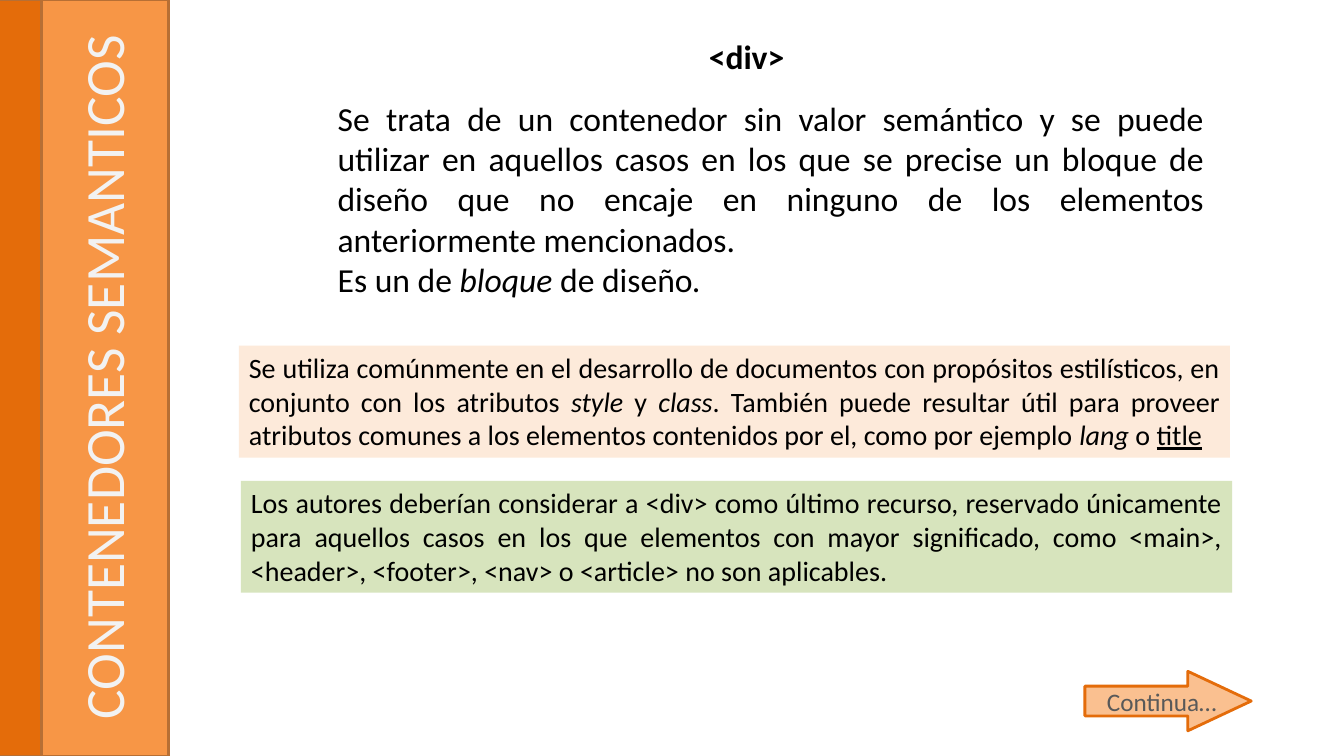
from pptx import Presentation
from pptx import util as u
from pptx.dml.color import RGBColor
from pptx.enum import shapes, text

DARK_ORANGE = RGBColor(0xE4, 0x6C, 0x0A)
ORANGE = RGBColor(0xF7, 0x96, 0x46)
BROWN = RGBColor(0xB7, 0x6F, 0x34)
PEACH = RGBColor(0xFA, 0xC0, 0x90)
CREAM = RGBColor(0xFD, 0xEA, 0xDA)
GREEN = RGBColor(0xD7, 0xE4, 0xBD)
OFF_WHITE = RGBColor(0xF2, 0xF2, 0xF2)
GREY = RGBColor(0x59, 0x59, 0x59)
BLACK = RGBColor(0, 0, 0)
ALIGN = text.PP_ALIGN
ANCHOR = text.MSO_ANCHOR

WIDTH, HEIGHT = 13.33, 7.5
BAR_WIDTH = 1.26
NOTE_WIDTH, NOTE_HEIGHT = 9.83, 1.11

presentation = Presentation()
presentation.slide_width = u.Inches(WIDTH)
presentation.slide_height = u.Inches(HEIGHT)
slide = presentation.slides.add_slide(presentation.slide_layouts[5])


def add_block(kind, left, top, width, height, fill, line=None):
    """Add a filled preset shape; without a line colour it has no outline."""
    shape = slide.shapes.add_shape(kind, *map(u.Inches, (left, top, width, height)))
    shape.shadow.inherit = False
    shape.fill.solid()
    shape.fill.fore_color.rgb = fill
    if line is None:
        shape.line.fill.background()
    else:
        shape.line.color.rgb = line
        shape.line.width = u.Pt(2)
    return shape


def write(shape, *paragraphs, size=24, color=BLACK, align=ALIGN.JUSTIFY,
          bold=False, anchor=ANCHOR.TOP, spacing=None):
    """Fill a shape with paragraphs; in each, *x* is italic and _x_ underlined."""
    frame = shape.text_frame
    frame.word_wrap = True
    frame.auto_size = text.MSO_AUTO_SIZE.NONE
    frame.vertical_anchor = anchor
    for index, content in enumerate(paragraphs):
        paragraph = frame.add_paragraph() if index else frame.paragraphs[0]
        paragraph.alignment = align
        if spacing:
            paragraph.line_spacing = u.Pt(spacing)
        for position, part in enumerate(content.replace("_", "*_").split("*")):
            if not part:
                continue
            run = paragraph.add_run()
            run.text = part.strip("_")
            run.font.name = "Calibri"
            run.font.size = u.Pt(size)
            run.font.color.rgb = color
            run.font.bold = bold
            run.font.underline = part.startswith("_")
            run.font.italic = position % 2 == 1 and not run.font.underline


for left, fill in ((-0.03, DARK_ORANGE), (0.41, ORANGE)):
    add_block(shapes.MSO_SHAPE.RECTANGLE, left, 0, BAR_WIDTH, HEIGHT, fill, BROWN)

title = slide.shapes.title
title.left, title.top = u.Inches(-2.74), u.Inches(3.12)
title.width, title.height = u.Inches(HEIGHT), u.Inches(1.25)
title.rotation = 270
write(title, "CONTENEDORES SEMANTICOS", size=39.6, color=OFF_WHITE,
      align=ALIGN.CENTER, anchor=ANCHOR.MIDDLE)
slide.shapes.element.append(title.element)  # bring in front of the bars

arrow = add_block(shapes.MSO_SHAPE.RIGHT_ARROW, 10.76, 6.66, 1.65, 0.59, PEACH, DARK_ORANGE)
arrow.adjustments[1] = 1.065

text_boxes = (
    ((10.88, 6.76, 1.42, 0.4), ["Continua…"],
     dict(size=18, color=GREY, align=ALIGN.LEFT)),
    ((2.6, 0.31, 9.61, 0.5), ["<div>"], dict(bold=True, align=ALIGN.CENTER)),
    ((3.25, 0.92, 8.79, 2.12),
     ["Se trata de un contenedor sin valor semántico y se puede utilizar en aquellos "
      "casos en los que se precise un bloque de diseño que no encaje en ninguno de los "
      "elementos anteriormente mencionados.",
      "Es un de *bloque* de diseño*.*"], {}),
)
for place, paragraphs, style in text_boxes:
    write(slide.shapes.add_textbox(*map(u.Inches, place)), *paragraphs, **style)

notes = (
    (2.37, 3.43, CREAM,
     "Se utiliza comúnmente en el desarrollo de documentos con propósitos estilísticos, "
     "en conjunto con los atributos *style* y *class*. También puede resultar útil para "
     "proveer atributos comunes a los elementos contenidos por el, como por ejemplo "
     "*lang* o _title_"),
    (2.39, 4.77, GREEN,
     "Los autores deberían considerar a <div> como último recurso, reservado únicamente "
     "para aquellos casos en los que elementos con mayor significado, como <main>, "
     "<header>, <footer>, <nav> o <article> no son aplicables."),
)
for left, top, fill, content in notes:
    note = add_block(shapes.MSO_SHAPE.RECTANGLE, left, top, NOTE_WIDTH, NOTE_HEIGHT, fill)
    write(note, content, size=20, spacing=24)

presentation.save("out.pptx")
